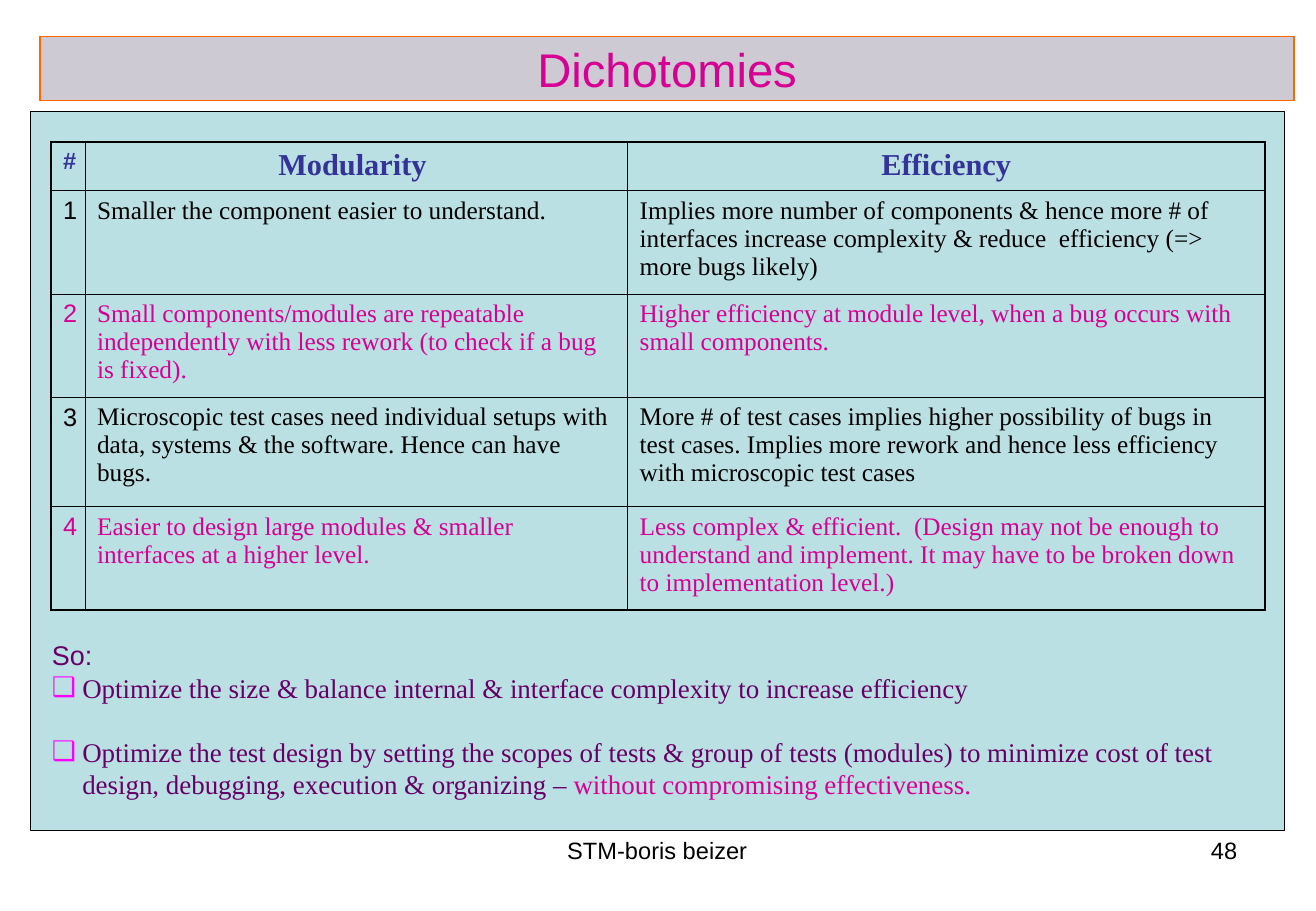
import pptx
import pptx.dml.color
import pptx.enum.shapes
import pptx.enum.text
import pptx.oxml
import pptx.oxml.ns
import pptx.util

EMU_PER_PX = 9144
RGBColor = pptx.dml.color.RGBColor
ALIGN = pptx.enum.text.PP_ALIGN
ANCHOR = pptx.enum.text.MSO_ANCHOR

BLACK = RGBColor(0x00, 0x00, 0x00)
MAGENTA = RGBColor(0xD6, 0x00, 0x93)
BULLET_PINK = RGBColor(0xFF, 0x00, 0xFF)
PURPLE = RGBColor(0x66, 0x00, 0x66)
HEADER_BLUE = RGBColor(0x33, 0x33, 0x99)
TITLE_GREY = RGBColor(0xCE, 0xCA, 0xD4)
TITLE_ORANGE = RGBColor(0xFF, 0x66, 0x00)
PANEL_TEAL = RGBColor(0xBB, 0xE0, 0xE3)

SANS = "Arial"
SERIF = "Times New Roman"
OUTER_BORDER = 1.08
INNER_BORDER = 0.45

COLUMN_WIDTHS = (28, 447, 525)
ROW_HEIGHTS = (40, 85, 85, 90, 85)
HEADERS = ("#", "Modularity ", "Efficiency")
DICHOTOMIES = (
    ("Smaller the component easier to understand.",
     "Implies more number of components & hence more # of interfaces increase "
     "complexity & reduce  efficiency (=> more bugs likely)"),
    ("Small components/modules are repeatable independently with less rework "
     "(to check if a bug is fixed).",
     "Higher efficiency at module level, when a bug occurs with small components."),
    ("Microscopic test cases need individual setups with data, systems & the "
     "software. Hence can have bugs.",
     "More # of test cases implies higher possibility of bugs in test cases. "
     "Implies more rework and hence less efficiency with microscopic test cases"),
    ("Easier to design large modules & smaller interfaces at a higher level.",
     "Less complex & efficient.  (Design may not be enough to understand and "
     "implement. It may have to be broken down to implementation level.)"),
)


def px(length):
    return pptx.util.Emu(length * EMU_PER_PX)


def add_run(paragraph, text, size, font_name, color, bold=False):
    run = paragraph.add_run()
    run.text = text
    run.font.size = pptx.util.Pt(size)
    run.font.name = font_name
    run.font.color.rgb = color
    run.font.bold = bold


def add_panel(slide, left, top, width, height, fill, line):
    shape = slide.shapes.add_shape(
        pptx.enum.shapes.MSO_SHAPE.RECTANGLE, px(left), px(top), px(width), px(height))
    shape.shadow.inherit = False
    shape.fill.solid()
    shape.fill.fore_color.rgb = fill
    shape.line.color.rgb = line
    shape.line.width = pptx.util.Pt(0.75)
    return shape


def add_text_frame(slide, left, top, width, height):
    box = slide.shapes.add_textbox(px(left), px(top), px(width), px(height))
    box.text_frame.word_wrap = True
    return box.text_frame


def add_title(slide):
    panel = add_panel(slide, 33, 30, 1033, 53, TITLE_GREY, TITLE_ORANGE)
    panel.text_frame.vertical_anchor = ANCHOR.MIDDLE
    paragraph = panel.text_frame.paragraphs[0]
    paragraph.alignment = ALIGN.CENTER
    add_run(paragraph, "Dichotomies", 28, SANS, MAGENTA)


def add_footer(slide, left, width, text, alignment):
    paragraph = add_text_frame(slide, left, 683, width, 52).paragraphs[0]
    paragraph.alignment = alignment
    add_run(paragraph, text, 14, SANS, BLACK)


def set_borders(cell, widths):
    """Draw black borders; widths are points for left, right, top and bottom."""
    properties = cell._tc.get_or_add_tcPr()
    for index, (side, width) in enumerate(zip("LRTB", widths)):
        border = pptx.oxml.parse_xml(
            f'<a:ln{side} {pptx.oxml.ns.nsdecls("a")} w="{int(pptx.util.Pt(width))}">'
            f'<a:solidFill><a:srgbClr val="{BLACK}"/></a:solidFill></a:ln{side}>')
        properties.insert(index, border)


def fill_cell(cell, row, column, text):
    cell.fill.background()
    cell.margin_left = cell.margin_right = px(10)
    cell.margin_top = cell.margin_bottom = px(5)
    edges = (column == 0, column == len(COLUMN_WIDTHS) - 1,
             row == 0, row == len(ROW_HEIGHTS) - 1)
    set_borders(cell, [OUTER_BORDER if edge else INNER_BORDER for edge in edges])
    paragraph = cell.text_frame.paragraphs[0]
    font_name = SERIF if column else SANS
    if row == 0:
        paragraph.alignment = ALIGN.CENTER
        add_run(paragraph, text, 18 if column else 14, font_name, HEADER_BLUE, True)
    else:
        add_run(paragraph, text, 15, font_name, BLACK if row % 2 else MAGENTA)


def add_dichotomy_table(slide):
    frame = slide.shapes.add_table(
        len(ROW_HEIGHTS), len(COLUMN_WIDTHS), px(42), px(117),
        px(sum(COLUMN_WIDTHS)), px(sum(ROW_HEIGHTS)))
    table = frame.table
    table.first_row = False
    table.horz_banding = False
    for column, width in zip(table.columns, COLUMN_WIDTHS):
        column.width = px(width)
    for row, height in zip(table.rows, ROW_HEIGHTS):
        row.height = px(height)
    numbered = [(str(number), *pair) for number, pair in enumerate(DICHOTOMIES, 1)]
    for row, texts in enumerate([HEADERS, *numbered]):
        for column, text in enumerate(texts):
            fill_cell(table.cell(row, column), row, column, text)


def add_bullet(text_frame, text, space_before=0):
    paragraph = text_frame.add_paragraph()
    properties = paragraph._p.get_or_add_pPr()
    properties.set("marL", str(int(px(25))))
    properties.set("indent", str(int(px(-25))))
    namespace = pptx.oxml.ns.nsdecls("a")
    for element in (f'<a:buClr {namespace}><a:srgbClr val="{BULLET_PINK}"/></a:buClr>',
                    f'<a:buFont {namespace} typeface="{SANS}"/>',
                    f'<a:buChar {namespace} char="❑"/>'):
        properties.append(pptx.oxml.parse_xml(element))
    paragraph.space_before = pptx.util.Pt(space_before)
    add_run(paragraph, text, 16, SERIF, PURPLE)
    return paragraph


def add_conclusions(slide):
    text_frame = add_text_frame(slide, 33, 521, 1033, 142)
    add_run(text_frame.paragraphs[0], "So:", 16, SANS, PURPLE)
    add_bullet(text_frame, "Optimize the size & balance internal & interface "
                           "complexity to increase efficiency")
    test_design = add_bullet(
        text_frame, "Optimize the test design by setting the scopes of tests & group of "
        "tests (modules) to minimize cost of test design, debugging, execution & "
        "organizing – ", space_before=19)
    add_run(test_design, "without compromising effectiveness.", 16, SERIF, MAGENTA)


def main():
    presentation = pptx.Presentation()
    presentation.slide_width = px(1084)
    presentation.slide_height = px(750)
    slide = presentation.slides.add_slide(presentation.slide_layouts[6])
    add_footer(slide, 370, 343, "STM-boris beizer", ALIGN.CENTER)
    add_footer(slide, 776, 253, "48", ALIGN.RIGHT)
    add_title(slide)
    add_panel(slide, 25, 92, 1033, 592, PANEL_TEAL, BLACK)
    add_conclusions(slide)
    add_dichotomy_table(slide)
    presentation.save("out.pptx")


if __name__ == "__main__":
    main()
